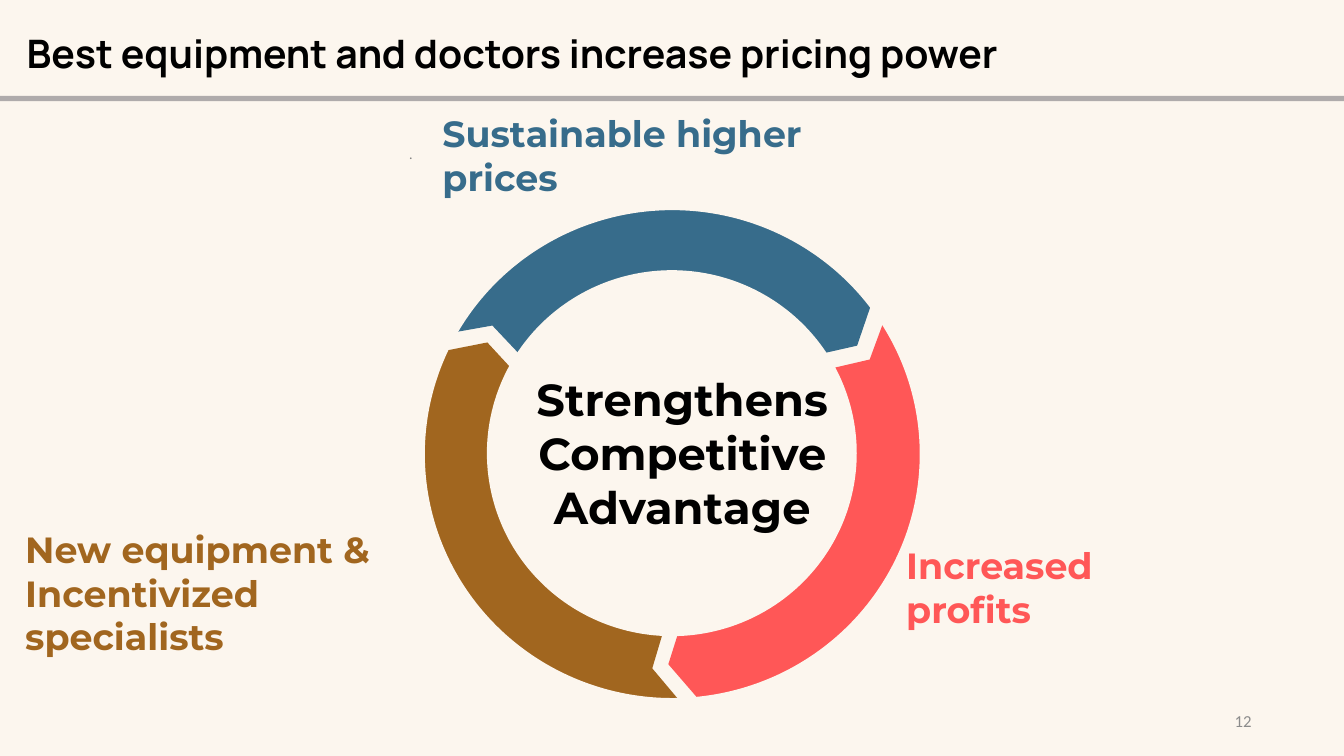
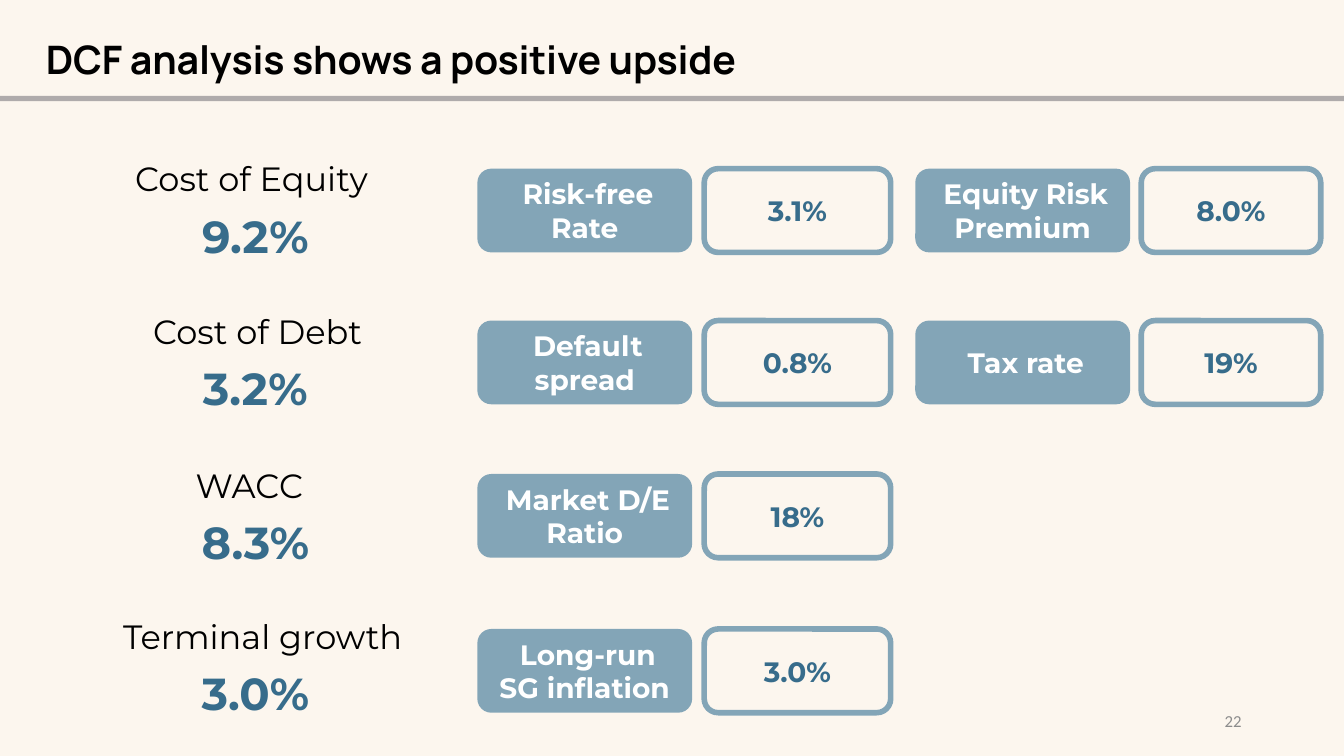
"""Build two finance slides: a competitive-advantage cycle and a DCF summary."""
from dataclasses import dataclass, replace
from math import cos, radians, sin

from pptx import Presentation
from pptx import util as u
from pptx.dml import color as dml
from pptx.enum import shapes, text

Pt = u.Pt
LEFT, CENTER = text.PP_ALIGN.LEFT, text.PP_ALIGN.CENTER
RIGHT, JUSTIFY = text.PP_ALIGN.RIGHT, text.PP_ALIGN.JUSTIFY
TOP, MIDDLE = text.MSO_ANCHOR.TOP, text.MSO_ANCHOR.MIDDLE

CREAM, BLACK, WHITE, RULE_GREY = "FCF6EE", "000000", "FFFFFF", "AFABAB"
BLUE, LIGHT_BLUE, BROWN, CORAL = "376C8B", "83A5B7", "A1661F", "FF5757"
PAGE_WIDTH, PAGE_HEIGHT = 960, 540

DEFAULT_MARGINS = (7.2, 3.6, 7.2, 3.6)
CALLOUT_MARGINS = (0, 3.6, 7.2, 3.6)


@dataclass(frozen=True)
class Area:
    """A rectangle in points."""
    left: float
    top: float
    width: float
    height: float

    def lengths(self) -> list[u.Length]:
        """Return left, top, width and height as lengths."""
        return [Pt(v) for v in (self.left, self.top, self.width, self.height)]


@dataclass(frozen=True)
class Style:
    """The look of the text in one box."""
    size: float
    color: str
    bold: bool = False
    name: str = "Montserrat"
    align: text.PP_ALIGN = LEFT
    anchor: text.MSO_ANCHOR = MIDDLE
    margins: tuple[float, float, float, float] = DEFAULT_MARGINS
    indent: float = 0
    spacing: float = 0


@dataclass(frozen=True)
class Callout:
    """A caption beside the cycle."""
    lines: tuple[str, ...]
    area: Area
    color: str


@dataclass(frozen=True)
class RingArrow:
    """One chevron of the cycle and its starting angle."""
    color: str
    start: float


@dataclass(frozen=True)
class Mask:
    """A plain ring that trims the cycle."""
    area: Area
    thickness: float


@dataclass(frozen=True)
class Measure:
    """A headline figure with the inputs behind it."""
    name: str
    value: str
    center: float
    top: float
    tile_top: float
    inputs: tuple[tuple[str, str], ...]


TITLE = Style(28, BLACK, True, "Manrope", margins=(0, 0.7, 0, 0))
TIGHT_TITLE = replace(TITLE, spacing=-0.1)
NUMBER = Style(12, "8C8C8C", name="Calibri", align=RIGHT)
DOT = Style(10, "808080", name="Calibri", align=JUSTIFY, margins=(0, 3.6, 0, 3.6))
HUB = Style(32, BLACK, True, align=CENTER, anchor=TOP)
MEASURE_NAME = Style(24, BLACK, align=CENTER, anchor=TOP)
MEASURE_VALUE = Style(32, BLUE, True, align=CENTER, anchor=TOP)
INPUT_NAME = Style(20, WHITE, True, align=CENTER, indent=4.5)
INPUT_VALUE = Style(20, BLUE, True, align=CENTER)

CALLOUTS = (
    Callout(("New equipment &", "Incentivized specialists"), Area(18, 388, 317.5, 70.6), BROWN),
    Callout(("Increased profits",), Area(647.3, 385.6, 234.7, 67.7), CORAL),
    Callout(("Sustainable higher prices",), Area(316, 91.4, 351.4, 38.9), BLUE),
)
RING_CENTER = (479.5, 322)
OUTER, INNER, NOTCH, TIP = 208, 90, 156, 152.5
RING_SWEEP, ARC_STEPS = 116, 20
RING_ARROWS = (RingArrow(CORAL, 322.3), RingArrow(BROWN, 82), RingArrow(BLUE, 202))
MASKS = (Mask(Area(262.1, 108.7, 436.3, 431.3), 0.096),
         Mask(Area(347.8, 193, 264.2, 261.4), 0.187))

MEASURES = (
    Measure("Cost of Equity", "9.2%", 179.6, 109.4, 120.5,
            (("Risk-free Rate", "3.1%"), ("Equity Risk Premium", "8.0%"))),
    Measure("Cost of Debt", "3.2%", 184, 218.2, 229,
            (("Default spread", "0.8%"), ("Tax rate", "19%"))),
    Measure("WACC", "8.3%", 178.2, 328.3, 338.6, (("Market D/E Ratio", "18%"),)),
    Measure("Terminal growth", "3.0%", 187.6, 436.3, 449.3,
            (("Long-run SG inflation", "3.0%"),)),
)
INPUT_COLUMNS = ((341, 503, 133.2), (653.8, 815.2, 128.2))


def rgb(value: str) -> dml.RGBColor:
    """Turn a hex string into a colour."""
    return dml.RGBColor.from_string(value)


def apply(target, values: dict) -> None:
    """Set each named attribute on the target."""
    for name, value in values.items():
        setattr(target, name, value)


def write(box, lines: tuple[str, ...], style: Style) -> None:
    """Fill a box with one paragraph per line."""
    frame = box.text_frame
    sides = ("margin_left", "margin_top", "margin_right", "margin_bottom")
    apply(frame, dict(zip(sides, map(Pt, style.margins))))
    apply(frame, {"word_wrap": True, "auto_size": text.MSO_AUTO_SIZE.NONE,
                  "vertical_anchor": style.anchor})
    for index, line in enumerate(lines):
        para = frame.add_paragraph() if index else frame.paragraphs[0]
        para.alignment = style.align
        if style.indent:
            para._p.get_or_add_pPr().set("indent", str(Pt(style.indent)))
        span = para.add_run()
        span.text = line
        apply(span.font, {"name": style.name, "size": Pt(style.size), "bold": style.bold})
        span.font.color.rgb = rgb(style.color)
        if style.spacing:
            span._r.get_or_add_rPr().set("spc", str(round(style.spacing * 100)))


def add_text(page, area: Area, lines: tuple[str, ...], style: Style) -> None:
    """Add a text box."""
    write(page.shapes.add_textbox(*area.lengths()), lines, style)


def paint(shape, fill: str | None, line: str | None = None) -> None:
    """Give a shape a flat fill and an optional outline."""
    shape.shadow.inherit = False
    if fill:
        shape.fill.solid()
        shape.fill.fore_color.rgb = rgb(fill)
    else:
        shape.fill.background()
    if line:
        shape.line.color.rgb = rgb(line)
        shape.line.width = Pt(4)
    else:
        shape.line.fill.background()


def add_page(deck, title: str, area: Area, style: Style, number: str, number_left: float):
    """Add a page with its title, rule and number."""
    page = deck.slides.add_slide(deck.slide_layouts[5])
    heading = page.shapes.title
    apply(heading, dict(zip(("left", "top", "width", "height"), area.lengths())))
    write(heading, (title,), style)
    rule = page.shapes.add_shape(shapes.MSO_SHAPE.RECTANGLE,
                                 *Area(-5.8, 68.5, 971.3, 3.7).lengths())
    paint(rule, RULE_GREY)
    add_text(page, Area(number_left, 500.4, 216, 28.8), (number,), NUMBER)
    return page


def ring_point(angle: float, radius: float) -> tuple[u.Length, u.Length]:
    """Locate a point on the cycle, clockwise from the right."""
    turn = radians(angle)
    return (Pt(RING_CENTER[0] + radius * cos(turn)), Pt(RING_CENTER[1] + radius * sin(turn)))


def arc(first: float, last: float, radius: float) -> list[tuple[u.Length, u.Length]]:
    """Return evenly spaced points between two angles."""
    step = (last - first) / ARC_STEPS
    return [ring_point(first + step * index, radius) for index in range(ARC_STEPS + 1)]


def add_ring_arrow(page, arrow: RingArrow) -> None:
    """Draw one curved chevron of the cycle."""
    start, end = arrow.start, arrow.start + RING_SWEEP
    outline = [*arc(start, end, OUTER), ring_point(end + 12.5, TIP),
               *arc(end, start + 4.2, INNER), ring_point(start + 13, NOTCH)]
    builder = page.shapes.build_freeform(*outline[0])
    builder.add_line_segments(outline[1:], close=True)
    paint(builder.convert_to_shape(), arrow.color)


def add_mask(page, mask: Mask) -> None:
    """Trim the cycle with a ring in the page colour."""
    ring = page.shapes.add_shape(shapes.MSO_SHAPE.DONUT, *mask.area.lengths())
    ring.adjustments[0] = mask.thickness
    paint(ring, CREAM)


def add_tile(page, area: Area, label: str, style: Style,
             fill: str | None, line: str | None) -> None:
    """Draw a rounded tile with centred text."""
    tile = page.shapes.add_shape(shapes.MSO_SHAPE.ROUNDED_RECTANGLE, *area.lengths())
    paint(tile, fill, line)
    write(tile, (label,), style)


def build_cycle(deck) -> None:
    """Build the competitive-advantage page."""
    page = add_page(deck, "Best equipment and doctors increase pricing power",
                    Area(19, 19.4, 923.7, 35.3), TITLE, "12", 685.2)
    for arrow in RING_ARROWS:
        add_ring_arrow(page, arrow)
    for mask in MASKS:
        add_mask(page, mask)
    for callout in CALLOUTS:
        style = Style(26, callout.color, True, margins=CALLOUT_MARGINS)
        add_text(page, callout.area, callout.lines, style)
    add_text(page, Area(292.3, 100.1, 126.7, 19.4), (".",), DOT)
    add_text(page, Area(371.5, 262, 231.8, 124), ("Strengthens Competitive Advantage",), HUB)


def build_dcf(deck) -> None:
    """Build the DCF page."""
    page = add_page(deck, "DCF analysis shows a positive upside",
                    Area(32.8, 23.8, 819, 35.3), TIGHT_TITLE, "22", 678)
    for measure in MEASURES:
        add_text(page, Area(measure.center - 112, measure.top, 224, 36),
                 (measure.name,), MEASURE_NAME)
        add_text(page, Area(124.5, measure.top + 35.8, 116, 46), (measure.value,), MEASURE_VALUE)
        for (label, value), (left, value_left, width) in zip(measure.inputs, INPUT_COLUMNS):
            add_tile(page, Area(left, measure.tile_top, 153.4, 59.8), label,
                     INPUT_NAME, LIGHT_BLUE, None)
            add_tile(page, Area(value_left, measure.tile_top, width, 59.8), value,
                     INPUT_VALUE, None, LIGHT_BLUE)


def main() -> None:
    """Build and save the deck."""
    deck = Presentation()
    apply(deck, {"slide_width": Pt(PAGE_WIDTH), "slide_height": Pt(PAGE_HEIGHT)})
    backdrop = deck.slide_master.background.fill
    backdrop.solid()
    backdrop.fore_color.rgb = rgb(CREAM)
    build_cycle(deck)
    build_dcf(deck)
    deck.save("out.pptx")


if __name__ == "__main__":
    main()
